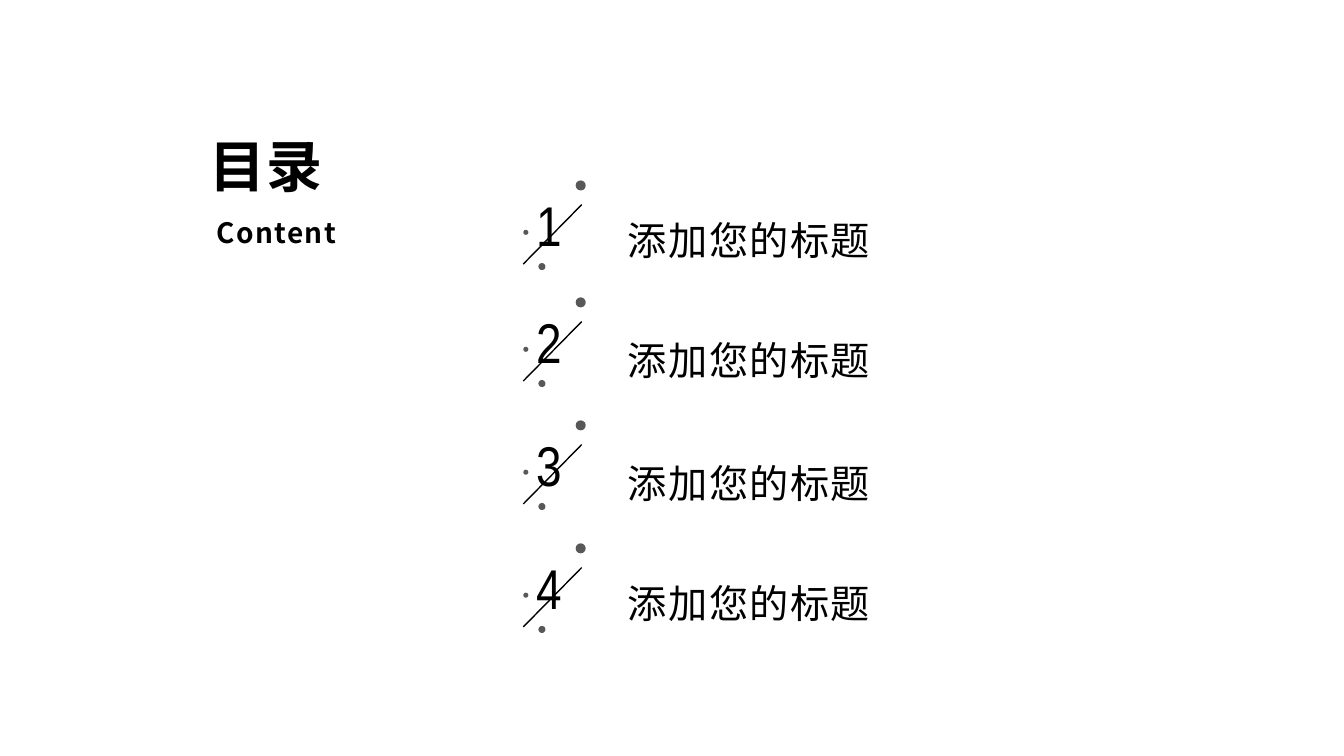
from dataclasses import dataclass

from lxml import etree
from pptx import Presentation
from pptx.dml.color import RGBColor
from pptx.enum.shapes import MSO_CONNECTOR, MSO_SHAPE
from pptx.enum.text import MSO_AUTO_SIZE
from pptx.oxml.ns import qn
from pptx.util import Inches, Pt

OVAL = MSO_SHAPE.OVAL
STRAIGHT = MSO_CONNECTOR.STRAIGHT
GROW = MSO_AUTO_SIZE.SHAPE_TO_FIT_TEXT


@dataclass(frozen=True)
class Theme:
    """Colours, fonts and sizes of the contents slide."""
    ink: RGBColor = RGBColor(0x00, 0x00, 0x00)
    dot: RGBColor = RGBColor(0x52, 0x52, 0x52)
    paper: RGBColor = RGBColor(0xFF, 0xFF, 0xFF)
    dot_opacity: int = 96
    text_font: str = "Noto Sans CJK JP"
    number_font: str = "Arial Narrow"
    title_size: int = 40
    subtitle_size: int = 20
    label_size: int = 28
    number_size: int = 40
    letter_spacing: int = 1
    rule_width: int = 1


class ContentsSlide:
    """Draws contents entries on a grid of half-inch columns and rows."""

    cell = 0.5

    def __init__(self, presentation, theme):
        self.theme = theme
        self.slide = presentation.slides.add_slide(presentation.slide_layouts[6])
        fill = self.slide.background.fill
        fill.solid()
        fill.fore_color.rgb = theme.paper

    def grid(self, *cells):
        """Turn grid cells into slide lengths."""
        return [Inches(cell * self.cell) for cell in cells]

    def text(self, shapes, text, box, size, font_name, bold=False, spacing=0):
        """Add a text box that grows with its text."""
        frame = shapes.add_textbox(*self.grid(*box)).text_frame
        frame.word_wrap = True
        frame.auto_size = GROW
        frame.text = text
        run = frame.paragraphs[0].runs[0]
        run.font.size = Pt(size)
        run.font.bold = bold
        run.font.color.rgb = self.theme.ink
        run.font.name = font_name
        properties = run._r.get_or_add_rPr()
        properties.set("spc", str(spacing * 100))
        etree.SubElement(properties, qn("a:ea"), typeface=font_name)

    def rule(self, shapes, start, end):
        """Add a thin straight line."""
        connector = shapes.add_connector(STRAIGHT, *self.grid(*start, *end))
        connector.line.color.rgb = self.theme.ink
        connector.line.width = Pt(self.theme.rule_width)
        etree.SubElement(connector._element.spPr, qn("a:effectLst"))

    def dot(self, shapes, left, top, diameter):
        """Add a slightly transparent round dot."""
        shape = shapes.add_shape(OVAL, *self.grid(left, top, diameter, diameter))
        shape.shadow.inherit = False
        shape.line.fill.background()
        shape.fill.solid()
        shape.fill.fore_color.rgb = self.theme.dot
        color = shape._element.spPr.find(qn("a:solidFill"))[0]
        etree.SubElement(color, qn("a:alpha"), val=str(self.theme.dot_opacity * 1000))

    def heading(self, title, subtitle):
        """Add the slide title and its translation."""
        theme = self.theme
        for text, box, size in (
            (title, (3.96, 2.52, 3, 1.54), theme.title_size),
            (subtitle, (4.1, 4.18, 6.26, 0.88), theme.subtitle_size),
        ):
            self.text(self.slide.shapes, text, box, size, theme.text_font,
                      bold=True, spacing=theme.letter_spacing)

    def entry(self, number, label, top, label_top, label_width):
        """Add one numbered contents entry as a group."""
        theme = self.theme
        shapes = self.slide.shapes.add_group_shape().shapes
        self.text(shapes, str(number), (10.44, top, 1.24, 1.54),
                  theme.number_size, theme.number_font)
        self.rule(shapes, (11.54, top + 0.38), (10.38, top + 1.56))
        for left, drop, diameter in ((11.42, -0.1, 0.2), (10.68, 1.54, 0.14),
                                     (10.38, 0.88, 0.1)):
            self.dot(shapes, left, top + drop, diameter)
        self.text(shapes, label, (12.26, label_top, label_width, 1.14),
                  theme.label_size, theme.text_font, spacing=theme.letter_spacing)


def main():
    """Build and save the contents slide."""
    presentation = Presentation()
    presentation.slide_width = Inches(13.33)
    presentation.slide_height = Inches(7.5)
    contents = ContentsSlide(presentation, Theme())
    contents.heading("目录", "Content")
    placements = ((3.68, 4.2, 5.5), (6, 6.58, 6.84), (8.44, 9.02, 5.5), (10.88, 11.4, 6.84))
    for number, placement in enumerate(placements, start=1):
        contents.entry(number, "添加您的标题", *placement)
    presentation.save("out.pptx")


if __name__ == "__main__":
    main()
